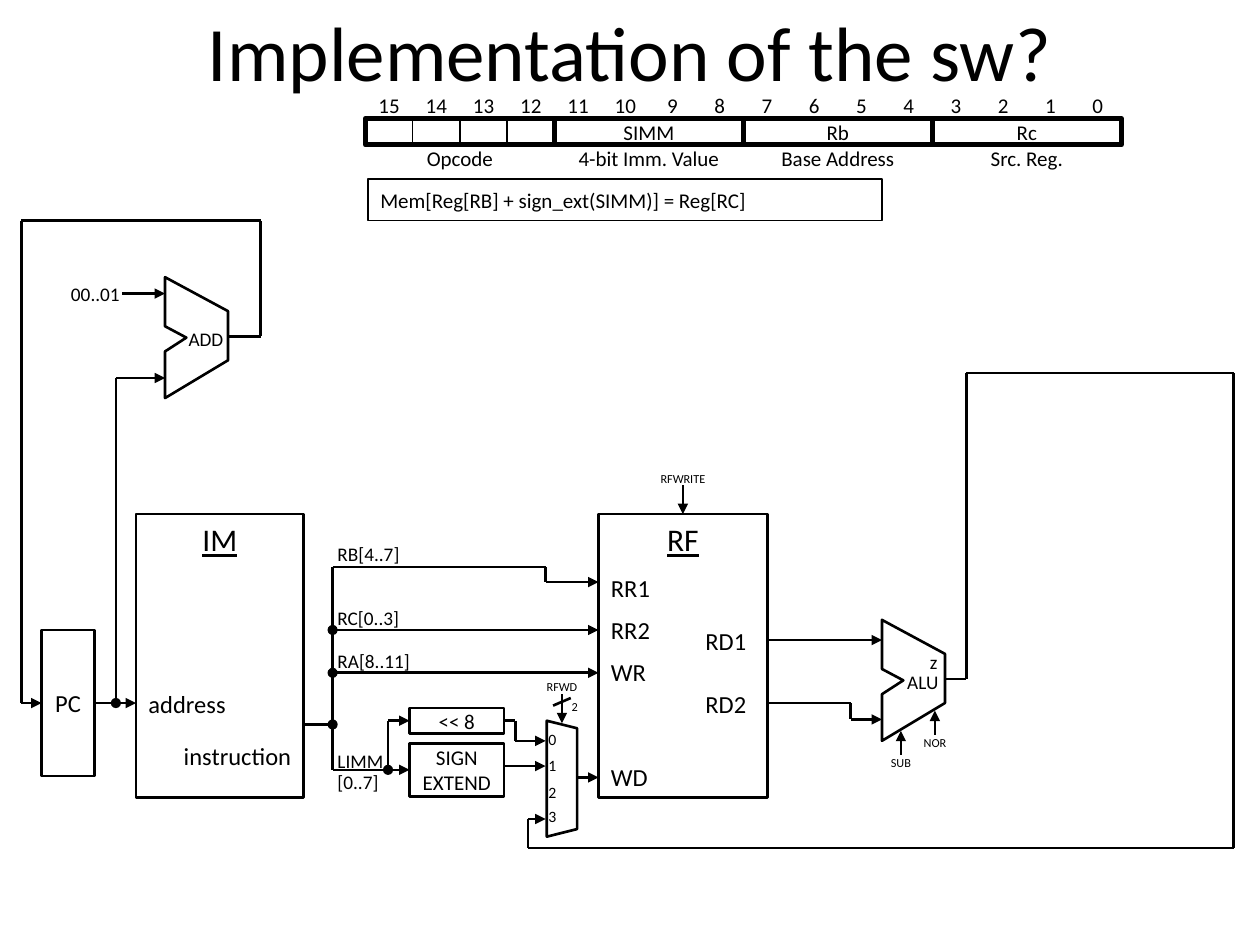
import pptx
import pptx.dml.color
import pptx.enum.shapes
import pptx.enum.text
import pptx.oxml
import pptx.oxml.ns
import pptx.util
from pptx.util import Inches

SHAPES = pptx.enum.shapes.MSO_SHAPE
ALIGN = {"left": pptx.enum.text.PP_ALIGN.LEFT,
         "center": pptx.enum.text.PP_ALIGN.CENTER,
         "right": pptx.enum.text.PP_ALIGN.RIGHT}
ANCHOR = {"top": pptx.enum.text.MSO_ANCHOR.TOP,
          "middle": pptx.enum.text.MSO_ANCHOR.MIDDLE}
INK = "000000"
TOP, LEFT, BOTTOM, RIGHT = range(4)  # connection sites of a rectangle


def paint(color_format, hex_color):
    color_format.rgb = pptx.dml.color.RGBColor.from_string(hex_color)


def write(frame, text, size=12, align="center", anchor="middle", underline=None):
    frame.word_wrap = True
    frame.vertical_anchor = ANCHOR[anchor]
    frame.margin_left = frame.margin_right = Inches(0 if align == "center" else 0.1)
    frame.margin_top = frame.margin_bottom = Inches(0.05 if anchor == "top" else 0)
    paragraph = frame.paragraphs[0]
    paragraph.alignment = ALIGN[align]
    run = paragraph.add_run()
    run.text = text
    run.font.name = "Calibri"
    run.font.size = pptx.util.Pt(size)
    run.font.underline = underline
    paint(run.font.color, INK)


def label(slide, text, left, top, width, height, **text_format):
    box = slide.shapes.add_textbox(*map(Inches, (left, top, width, height)))
    write(box.text_frame, text, **text_format)


def outline(shape, weight, fill=None):
    shape.shadow.inherit = False
    if fill:
        shape.fill.solid()
        paint(shape.fill.fore_color, fill)
    else:
        shape.fill.background()
    paint(shape.line.color, INK)
    shape.line.width = pptx.util.Pt(weight)


def block(slide, left, top, width, height, text="", weight=1.5,
          kind=SHAPES.RECTANGLE, **text_format):
    shape = slide.shapes.add_shape(kind, *map(Inches, (left, top, width, height)))
    outline(shape, weight)
    if text:
        write(shape.text_frame, text, **text_format)
    return shape


def wire(slide, *points, arrow=True, source=None, target=None):
    """Draw straight segments through the points; the last may carry an arrow."""
    segments = []
    for start, end in zip(points, points[1:]):
        line = slide.shapes.add_connector(
            pptx.enum.shapes.MSO_CONNECTOR.STRAIGHT, *map(Inches, start + end))
        paint(line.line.color, INK)
        line.line.width = pptx.util.Pt(1.5)
        properties = line._element.spPr
        pptx.oxml.ns.qn("a:effectLst")
        properties.append(pptx.oxml.parse_xml(
            "<a:effectLst %s/>" % pptx.oxml.ns.nsdecls("a")))
        segments.append(line)
    if arrow:
        segments[-1].line._get_or_add_ln().append(pptx.oxml.parse_xml(
            '<a:tailEnd %s type="triangle"/>' % pptx.oxml.ns.nsdecls("a")))
    if source:
        segments[0].begin_connect(*source)
    if target:
        segments[-1].end_connect(*target)


def junction(slide, x, y):
    size = 0.07
    dot = slide.shapes.add_shape(SHAPES.OVAL, Inches(x - size / 2),
                                 Inches(y - size / 2), Inches(size), Inches(size))
    outline(dot, 0.75, fill=INK)


def adder(slide, left, top):
    """Notched unit with two inputs on the left and one output on the right."""
    corners = [(0, 0), (0.5, 0.27), (0.5, 0.66), (0, 0.96),
               (0, 0.59), (0.17, 0.48), (0, 0.39)]
    path_points = [(Inches(left + x), Inches(top + y)) for x, y in corners]
    builder = slide.shapes.build_freeform(*path_points[0])
    builder.add_line_segments(path_points[1:], close=True)
    outline(builder.convert_to_shape(), 1.5)


def instruction_format(slide):
    left, top, bit_width, height = 2.9, 0.94, 0.375, 0.21
    for column in range(16):
        x = left + column * bit_width
        label(slide, str(15 - column), x, top - height, bit_width, height)
        if column < 4:
            block(slide, x, top, bit_width, height, weight=0.75)
    fields = [("", "Opcode"), ("SIMM", "4-bit Imm. Value"),
              ("Rb", "Base Address"), ("Rc", "Src. Reg.")]
    for index, (field, meaning) in enumerate(fields):
        x = left + index * 4 * bit_width
        block(slide, x, top, 4 * bit_width, height, field, weight=3)
        label(slide, meaning, x, top + height, 4 * bit_width, height)
    block(slide, 2.92, 1.42, 4.08, 0.33, "Mem[Reg[RB] + sign_ext(SIMM)] = Reg[RC]",
          weight=0.75, align="left")


def fetch_stage(slide):
    pc = block(slide, 0.33, 5, 0.42, 1.16, "PC", size=14)
    block(slide, 1.08, 4.08, 1.33, 2.25, "IM", size=18, anchor="top", underline=True)
    label(slide, "address", 1.08, 5.42, 1.08, 0.33, size=14, align="left")
    label(slide, "instruction", 1.33, 5.83, 1.08, 0.33, size=14, align="right")
    adder(slide, 1.31, 2.2)
    label(slide, "ADD", 1.32, 2.61, 0.63, 0.16, size=11)
    label(slide, "00..01", 0.42, 2.25, 0.63, 0.16, size=11, align="right")
    wire(slide, (0.75, 5.58), (1.08, 5.58), source=(pc, RIGHT))
    wire(slide, (0.92, 5.58), (0.92, 3), (1.31, 3))
    wire(slide, (0.97, 2.33), (1.31, 2.33))
    # Next address back to the PC
    wire(slide, (1.81, 2.67), (2.07, 2.67), (2.07, 1.75), (0.17, 1.75),
         (0.17, 5.58), (0.33, 5.58), target=(pc, LEFT))
    junction(slide, 0.92, 5.58)


def decode_stage(slide):
    rf = block(slide, 4.75, 4.08, 1.34, 2.25, "RF", size=18, anchor="top",
               underline=True)
    ports = [("RR1", 4.75, 4.5), ("RR2", 4.75, 4.83), ("WR", 4.75, 5.17),
             ("WD", 4.75, 6), ("RD1", 5.5, 4.92), ("RD2", 5.5, 5.42)]
    for port, x, y in ports:
        label(slide, port, x, y, 0.58, 0.33, size=14, align="left")
    label(slide, "RFWRITE", 5.13, 3.74, 0.58, 0.12, size=7)
    wire(slide, (5.42, 3.85), (5.42, 4.08), target=(rf, TOP))

    # Instruction fields on the shared bus
    bus = 2.64
    wire(slide, (2.41, 5.75), (bus, 5.75), arrow=False)
    wire(slide, (bus, 4.5), (bus, 6.11), arrow=False)
    wire(slide, (bus, 4.5), (4.33, 4.5), (4.33, 4.62), (4.75, 4.62))
    for y in (5, 5.34):
        wire(slide, (bus, y), (4.75, y))
    for y in (5, 5.34, 5.75):
        junction(slide, bus, y)
    for field, y in [("RB[4..7]", 4.31), ("RC[0..3]", 4.82), ("RA[8..11]", 5.16),
                     ("LIMM", 5.95), ("[0..7]", 6.12)]:
        label(slide, field, 2.58, y, 0.96, 0.17, size=11, align="left")

    # Immediate value: shifted or sign extended
    shifter = block(slide, 3.25, 5.62, 0.75, 0.2, "<< 8")
    extender = block(slide, 3.25, 5.9, 0.75, 0.42, "SIGN EXTEND")
    wire(slide, (bus, 6.11), (3.25, 6.11), target=(extender, LEFT))
    wire(slide, (3.08, 6.11), (3.08, 5.72), (3.25, 5.72), target=(shifter, LEFT))
    junction(slide, 3.08, 6.11)
    wire(slide, (4, 5.72), (4.09, 5.72), (4.09, 5.88), (4.33, 5.88),
         source=(shifter, RIGHT))
    wire(slide, (4, 6.08), (4.33, 6.08))

    # Write data multiplexer
    mux = block(slide, 4, 6.06, 0.92, 0.24, kind=SHAPES.TRAPEZOID)
    mux.rotation = 90
    for choice, y in enumerate((5.8, 6, 6.22, 6.41)):
        label(slide, str(choice), 4.33, y, 0.11, 0.14, size=9)
    wire(slide, (4.58, 6.17), (4.75, 6.17))
    label(slide, "RFWD", 4.17, 5.39, 0.58, 0.12, size=7)
    wire(slide, (4.46, 5.51), (4.46, 5.74))
    wire(slide, (4.53, 5.54), (4.39, 5.6), arrow=False)
    label(slide, "2", 4.5, 5.55, 0.12, 0.12, size=7)


def execute_stage(slide):
    adder(slide, 7, 4.92)
    label(slide, "ALU", 7.01, 5.33, 0.63, 0.16, size=11)
    label(slide, "z", 7.08, 5.17, 0.46, 0.16, size=11, align="right")
    wire(slide, (6.09, 5.08), (7, 5.08))
    wire(slide, (6.09, 5.58), (6.75, 5.58), (6.75, 5.71), (7, 5.71))
    for control, x, y in [("SUB", 7.15, 5.99), ("NOR", 7.42, 5.83)]:
        wire(slide, (x, y), (x, y - 0.19))
        label(slide, control, x - 0.29, y, 0.58, 0.12, size=7)
    # Result back to the multiplexer
    wire(slide, (7.5, 5.39), (7.67, 5.39), (7.67, 2.96), (9.79, 2.96),
         (9.79, 6.73), (4.19, 6.73), (4.19, 6.5), (4.33, 6.5))


def main():
    deck = pptx.Presentation()
    deck.slide_width, deck.slide_height = Inches(10), Inches(7.5)
    slide = deck.slides.add_slide(deck.slide_layouts[5])
    title = slide.shapes.title
    title.left, title.top = Inches(0), Inches(0)
    title.width, title.height = Inches(10), Inches(0.81)
    write(title.text_frame, "Implementation of the sw?", size=44)
    instruction_format(slide)
    fetch_stage(slide)
    decode_stage(slide)
    execute_stage(slide)
    deck.save("out.pptx")


if __name__ == "__main__":
    main()
